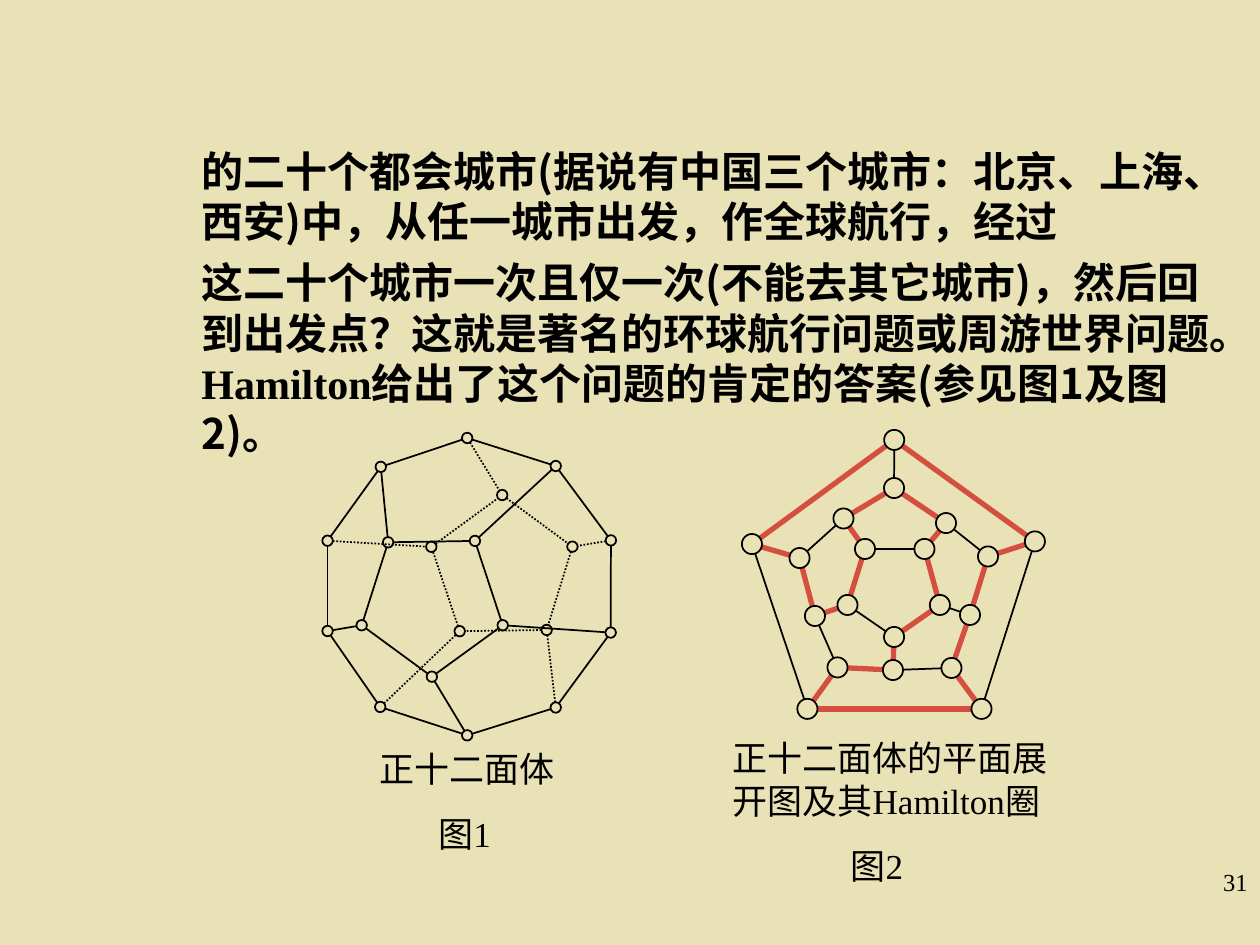
from math import hypot

from lxml.etree import SubElement
from pptx import Presentation
from pptx.dml.color import RGBColor
from pptx.enum.dml import MSO_LINE
from pptx.enum.shapes import MSO_CONNECTOR, MSO_SHAPE
from pptx.enum.text import MSO_ANCHOR, PP_ALIGN
from pptx.oxml.ns import qn
from pptx.util import Pt

BLACK = RGBColor(0x00, 0x00, 0x00)
RED = RGBColor(0xD5, 0x4F, 0x41)
SAND = RGBColor(0xE9, 0xE2, 0xB6)
SERIF = "Times New Roman"
SANS = "Noto Sans CJK SC"

SOLID = {"width": Pt(1)}
DOTTED = {"width": Pt(1), "dash_style": MSO_LINE.ROUND_DOT}
TOUR = {"width": Pt(3)}

# Both drawings of the dodecahedron: a ring of ten nodes, whose even nodes join
# one pentagon and whose odd nodes join the other, all clockwise from the top.
SOLID_RING = [(267, 250.3), (317.6, 266.3), (349.1, 308.8), (349, 361.5),
              (317.6, 404.3), (267, 420.2), (217.3, 404), (187.2, 360.6),
              (187.2, 309), (217.6, 266.8)]
SOLID_BACK = [(287, 282.9), (327.1, 312.4), (312.4, 360), (262.7, 360.7), (246.5, 312.5)]
SOLID_FRONT = [(271.4, 309.1), (287.3, 357.3), (246.8, 386.7), (206.7, 357.3), (221.8, 309.9)]

PLANE_RING = [(510.9, 278.9), (540.6, 298.9), (564.6, 318), (554.3, 351.4),
              (543.7, 381.7), (510.3, 382.9), (478.6, 381.4), (465.7, 352),
              (456.9, 318.9), (482, 296.3)]
PLANE_OUTER = [(511, 251.4), (591.4, 309.4), (560.9, 405.1), (461.4, 405.1), (429.7, 310.9)]
PLANE_INNER = [(528.3, 313.7), (537.1, 345.7), (510.9, 364), (484.3, 345.7), (494.3, 313.7)]

HAMILTON_CYCLE = ("even0 even1 ring2 ring3 ring4 even2 even3 ring6 ring5 odd2 "
                  "odd1 odd0 ring1 ring0 ring9 odd4 odd3 ring7 ring8 even4").split()


def apply_format(target, values):
    for name, value in values.items():
        setattr(target, name, value)


def closed_walk(names):
    return list(zip(names, names[1:] + names[:1]))


def dodecahedron_edges():
    ring = [f"ring{i}" for i in range(10)]
    even = [f"even{i}" for i in range(5)]
    odd = [f"odd{i}" for i in range(5)]
    spokes = list(zip(ring[::2], even)) + list(zip(ring[1::2], odd))
    return closed_walk(ring) + closed_walk(even) + closed_walk(odd) + spokes


def add_edge(group, start, end, radius, color, style):
    """Join two node circles, from rim to rim."""
    (x1, y1), (x2, y2) = start, end
    length = hypot(x2 - x1, y2 - y1)
    dx, dy = (x2 - x1) * radius / length, (y2 - y1) * radius / length
    edge = group.shapes.add_connector(
        MSO_CONNECTOR.STRAIGHT, Pt(x1 + dx), Pt(y1 + dy), Pt(x2 - dx), Pt(y2 - dy))
    edge.line.color.rgb = color
    apply_format(edge.line, style)
    SubElement(edge._element.spPr, qn("a:effectLst"))


def add_node(group, center, radius):
    x, y = center
    node = group.shapes.add_shape(
        MSO_SHAPE.OVAL, Pt(x - radius), Pt(y - radius), Pt(2 * radius), Pt(2 * radius))
    node.shadow.inherit = False
    node.fill.background()
    node.line.color.rgb = BLACK
    node.line.width = Pt(1)


def add_graph(page, ring, even, odd, radius, edge_look):
    group = page.shapes.add_group_shape()
    nodes = {f"{kind}{i}": center
             for kind, centers in (("ring", ring), ("even", even), ("odd", odd))
             for i, center in enumerate(centers)}
    for edge in dodecahedron_edges():
        add_edge(group, nodes[edge[0]], nodes[edge[1]], radius, *edge_look(edge))
    for center in nodes.values():
        add_node(group, center, radius)


def solid_look(edge):
    hidden = any(name.startswith("even") for name in edge)
    return BLACK, DOTTED if hidden else SOLID


def plane_look(edge):
    on_tour = set(edge) in [set(step) for step in closed_walk(HAMILTON_CYCLE)]
    return (RED, TOUR) if on_tour else (BLACK, SOLID)


def add_text_box(page, left, top, width, height, frame_format):
    frame = page.shapes.add_textbox(Pt(left), Pt(top), Pt(width), Pt(height)).text_frame
    apply_format(frame, {"word_wrap": True, **frame_format})
    return frame


def add_para(frame, spans, size, para_format, bold=False, indent=0):
    """Fill the empty first paragraph, or add one; spans are (text, font) pairs."""
    first = frame.paragraphs[0]
    para = frame.add_paragraph() if first.runs else first
    apply_format(para, para_format)
    if indent:
        para._p.get_or_add_pPr().set("marL", str(Pt(indent)))
    for text, font in spans:
        span = para.add_run()
        span.text = text
        apply_format(span.font, {"name": font, "size": Pt(size), "bold": bold})
        span.font.color.rgb = BLACK
        SubElement(span._r.get_or_add_rPr(), qn("a:ea"), typeface=SANS)


def add_body(page):
    frame = add_text_box(page, 108, 79.5, 600, 438, {})
    tight = {"line_spacing": Pt(28.8)}
    add_para(frame, [("的二十个都会城市(据说有中国三个城市：北京、上海、西安)中，"
                      "从任一城市出发，作全球航行，经过", SANS)], 24, tight, bold=True)
    add_para(frame, [("这二十个城市一次且仅一次(不能去其它城市)，然后回到出发点？"
                      "这就是著名的环球航行问题或周游世界问题。", SANS),
                     ("Hamilton", SERIF),
                     ("给出了这个问题的肯定的答案(参见图1及图2)。", SANS)],
             24, {**tight, "space_before": Pt(6)}, bold=True)


def add_caption(page, bounds, title, label, indent, anchor):
    margins = dict.fromkeys(("margin_left", "margin_top", "margin_right", "margin_bottom"), 0)
    frame = add_text_box(page, *bounds, {**margins, "vertical_anchor": anchor})
    tight = {"line_spacing": Pt(24.5)}
    add_para(frame, [(title, SERIF)], 20, tight)
    add_para(frame, [(label, SERIF)], 20, {**tight, "space_before": Pt(12.5)}, indent=indent)


def main():
    deck = Presentation()
    deck.slide_width, deck.slide_height = Pt(720), Pt(540)
    page = deck.slides.add_slide(deck.slide_layouts[6])
    page.background.fill.solid()
    page.background.fill.fore_color.rgb = SAND

    number = add_text_box(page, 570, 492, 150, 36, {})
    add_para(number, [("31", SERIF)], 14, {"alignment": PP_ALIGN.RIGHT})
    add_body(page)
    add_graph(page, SOLID_RING, SOLID_BACK, SOLID_FRONT, 3, solid_look)
    add_caption(page, (217, 427, 108, 61), "正十二面体", "图1", 33.5, MSO_ANCHOR.MIDDLE)
    add_graph(page, PLANE_RING, PLANE_OUTER, PLANE_INNER, 5.75, plane_look)
    add_caption(page, (418.5, 420.5, 190, 84), "正十二面体的平面展开图及其Hamilton圈",
                "图2", 67.5, MSO_ANCHOR.TOP)
    deck.save("out.pptx")


if __name__ == "__main__":
    main()
